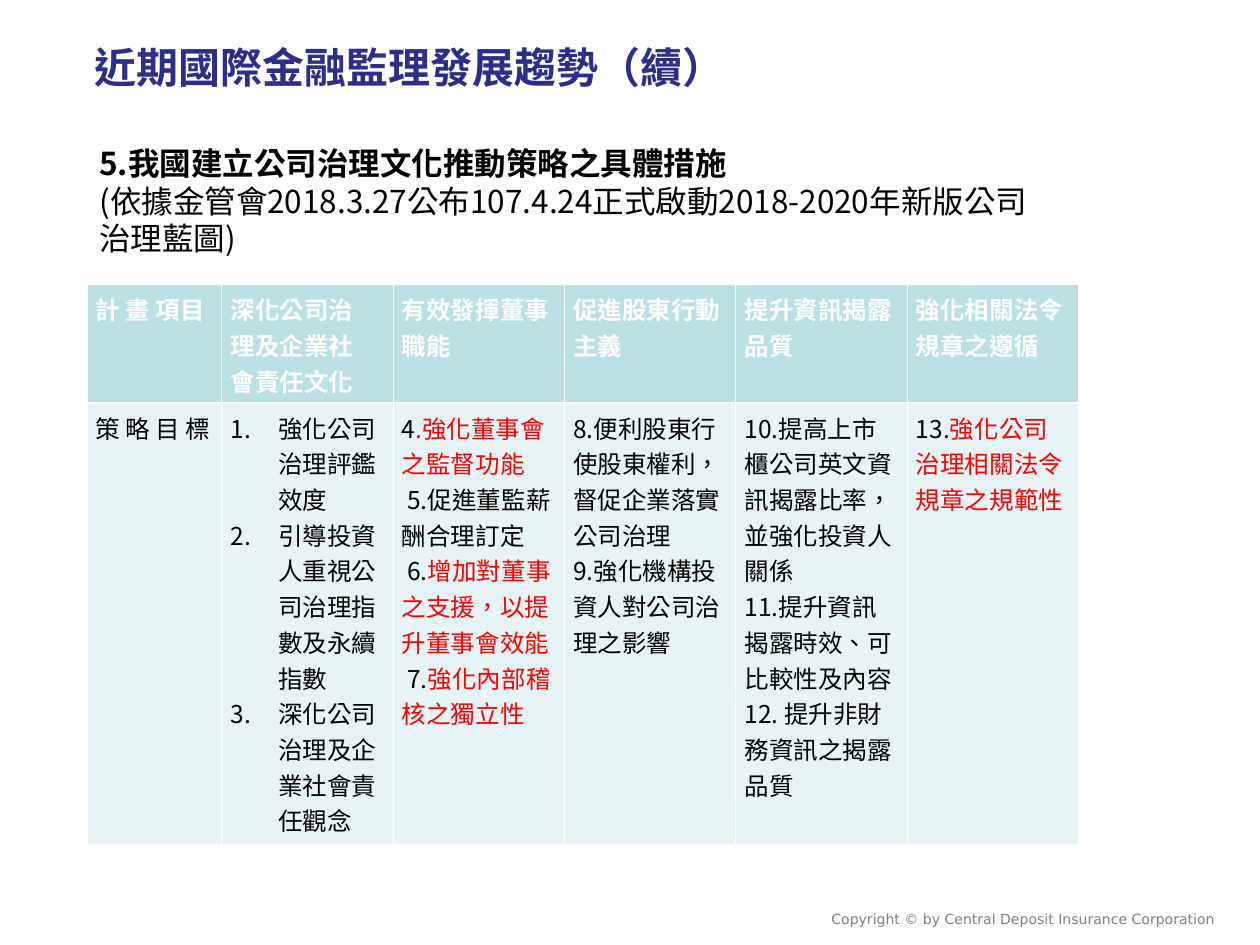
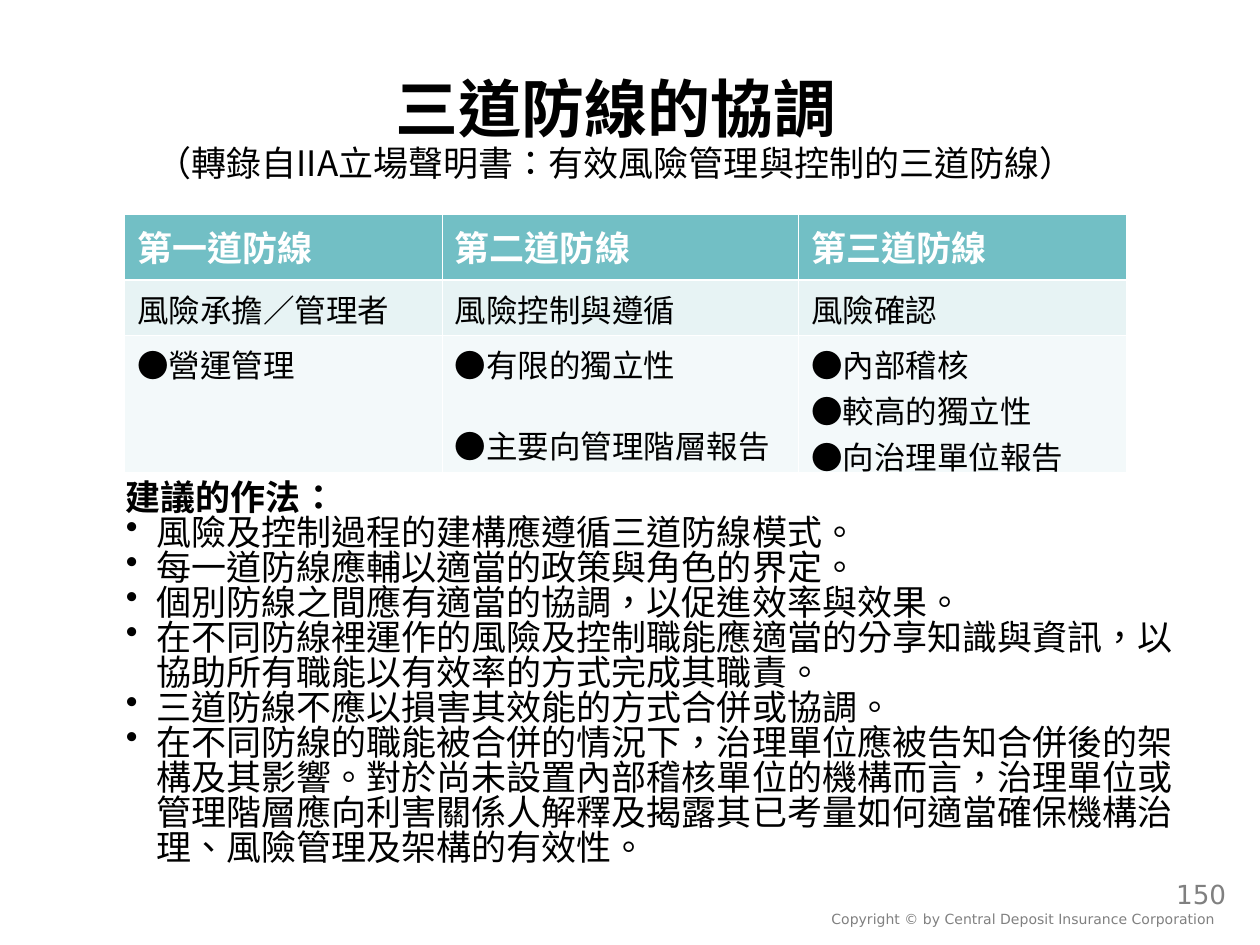
"""Builds two slides on corporate governance measures and the three lines of defence."""
from dataclasses import dataclass, replace
from typing import Optional

import lxml.etree
import pptx
import pptx.dml.color
import pptx.enum.text
import pptx.oxml.ns
import pptx.util

Inches, Pt = pptx.util.Inches, pptx.util.Pt
qn = pptx.oxml.ns.qn
ALIGN = pptx.enum.text.PP_ALIGN

CJK = "Noto Sans CJK SC"
WHITE, BLACK, GREY, RED, NAVY = "FFFFFF", "000000", "808080", "FF0000", "2D2D8A"
PALE_TEAL, TEAL, MIST, FROST = "BBE0E3", "72BFC5", "E7F3F4", "F3F9FA"
THIN, THICK = 0.45, 1.47


@dataclass(frozen=True)
class Style:
    """Character format of a paragraph."""
    size: float
    color: str = BLACK
    bold: bool = False
    font: str = CJK


@dataclass(frozen=True)
class Span:
    """A piece of text with its own colour."""
    text: str
    color: str


@dataclass(frozen=True)
class Para:
    """A paragraph: strings and spans, with its style and layout."""
    wording: tuple
    style: Style
    line: Optional[float] = None
    before: float = 0
    align: ALIGN = ALIGN.LEFT
    bullet: str = ""
    indent: float = 0


@dataclass(frozen=True)
class Box:
    """Place and size in inches."""
    left: float
    top: float
    width: float
    height: float

    def lengths(self) -> list:
        """Return the four values as lengths."""
        return [Inches(v) for v in (self.left, self.top, self.width, self.height)]


@dataclass(frozen=True)
class Row:
    """A table row: its height, fill and cells of paragraphs."""
    height: float
    fill: str
    cells: list


@dataclass(frozen=True)
class Grid:
    """A table: its place, columns, rows and cell margins."""
    left: float
    top: float
    columns: tuple
    rows: list
    side_margin: float
    bottom_margin: float


def rgb(value: str) -> pptx.dml.color.RGBColor:
    """Turn a hex string into a colour."""
    return pptx.dml.color.RGBColor.from_string(value)


def set_all(target, values: dict) -> None:
    """Set every attribute in values on target."""
    for name, value in values.items():
        setattr(target, name, value)


def add_run(paragraph, text: str, style: Style) -> None:
    """Add one formatted run."""
    run = paragraph.add_run()
    run.text = text
    set_all(run.font, {"size": Pt(style.size), "bold": style.bold, "name": style.font})
    run.font.color.rgb = rgb(style.color)
    properties = run._r.get_or_add_rPr()
    properties.set("lang", "zh-TW")
    lxml.etree.SubElement(properties, qn("a:ea")).set("typeface", CJK)


def add_bullet(paragraph, para: Para) -> None:
    """Give a paragraph its hanging bullet or number."""
    properties = paragraph._p.get_or_add_pPr()
    properties.set("marL", str(Inches(para.indent)))
    properties.set("indent", str(-Inches(para.indent)))
    if para.bullet == "1.":
        lxml.etree.SubElement(properties, qn("a:buAutoNum")).set("type", "arabicPeriod")
    else:
        lxml.etree.SubElement(properties, qn("a:buChar")).set("char", para.bullet)


def write(frame, paras: list) -> None:
    """Fill a text frame with paragraphs."""
    frame.word_wrap = True
    for index, para in enumerate(paras):
        paragraph = frame.add_paragraph() if index else frame.paragraphs[0]
        if para.bullet:
            add_bullet(paragraph, para)
        paragraph.alignment = para.align
        if para.line:
            paragraph.line_spacing = Pt(para.line)
        if para.before:
            paragraph.space_before = Pt(para.before)
        for piece in para.wording:
            span = piece if isinstance(piece, Span) else Span(piece, para.style.color)
            for number, line in enumerate(span.text.split("\n")):
                if number:
                    paragraph.add_line_break()
                add_run(paragraph, line, replace(para.style, color=span.color))


def add_text(slide, box: Box, *paras: Para) -> None:
    """Add a text box."""
    write(slide.shapes.add_textbox(*box.lengths()).text_frame, list(paras))


def add_borders(cell, widths: dict) -> None:
    """Draw white cell borders with the given widths in points."""
    properties = cell._tc.get_or_add_tcPr()
    for index, (side, width) in enumerate(widths.items()):
        border = lxml.etree.Element(qn(f"a:ln{side}"), w=str(Pt(width)))
        fill = lxml.etree.SubElement(border, qn("a:solidFill"))
        lxml.etree.SubElement(fill, qn("a:srgbClr")).set("val", WHITE)
        properties.insert(index, border)


def add_grid(slide, grid: Grid) -> None:
    """Add a table with filled and bordered cells."""
    box = Box(grid.left, grid.top, sum(grid.columns), sum(row.height for row in grid.rows))
    table = slide.shapes.add_table(len(grid.rows), len(grid.columns), *box.lengths()).table
    set_all(table, {"first_row": False, "horz_banding": False})
    for column, width in zip(table.columns, grid.columns):
        column.width = Inches(width)
    for r, row in enumerate(grid.rows):
        table.rows[r].height = Inches(row.height)
        for c, paras in enumerate(row.cells):
            cell = table.cell(r, c)
            set_all(cell, {
                "margin_left": Inches(grid.side_margin),
                "margin_right": Inches(grid.side_margin),
                "margin_top": Inches(0.05),
                "margin_bottom": Inches(grid.bottom_margin),
            })
            cell.fill.solid()
            cell.fill.fore_color.rgb = rgb(row.fill)
            add_borders(cell, {"L": THIN, "R": THIN, "T": THICK if r == 1 else THIN,
                               "B": THICK if r == 0 else THIN})
            write(cell.text_frame, paras)


def plain_cells(style: Style, *texts: str) -> list:
    """Make one single-paragraph cell from each text."""
    return [[Para((text,), style)] for text in texts]


def new_slide(deck):
    """Add a blank slide with the copyright footer."""
    slide = deck.slides.add_slide(deck.slide_layouts[6])
    add_text(slide, Box(6.5, 7.18, 3.59, 0.24),
             Para(("Copyright © by Central Deposit Insurance Corporation",),
                  Style(8, GREY, font="DejaVu Sans")))
    return slide


def build_governance(deck) -> None:
    """Build the slide on governance measures."""
    slide = new_slide(deck)
    add_text(slide, Box(0.65, 0.28, 8.63, 0.79),
             Para(("近期國際金融監理發展趨勢（續）",), Style(24, NAVY, True, "Calibri")))
    head, body = Style(14, WHITE, True), Style(14)
    goals = [
        [("策 略 目 標",)],
        [("強化公司治理評鑑效度",), ("引導投資人重視公司治理指數及永續指數",),
         ("深化公司治理及企業社會責任觀念",)],
        [("4", Span(".強化董事會之監督功能", RED)),
         (" 5.促進董監薪酬合理訂定",),
         (" 6.", Span("增加對董事之支援，以提升董事會效能", RED)),
         (" 7.", Span("強化內部稽核之獨立性", RED))],
        [("8.便利股東行使股東權利，督促企業落實公司治理",),
         ("9.強化機構投資人對公司治理之影響",)],
        [("10.提高上市櫃公司英文資訊揭露比率，並強化投資人關係",),
         ("11.提升資訊揭露時效、可比較性及內容 12. 提升非財務資訊之揭露品質",)],
        [("13.", Span("強化公司治理相關法令規章之規範性", RED))],
    ]
    goal_cells = [[Para(wording, body) for wording in cell] for cell in goals]
    goal_cells[1] = [replace(para, bullet="1.", indent=0.38) for para in goal_cells[1]]
    headings = plain_cells(head, "計 畫 項目", "深化公司治\n理及企業社\n會責任文化", "有效發揮董事 職能",
                           "促進股東行動主義", "提升資訊揭露 品質", "強化相關法令 規章之遵循")
    add_grid(slide, Grid(0.69, 2.26, (1.07,) + (1.36,) * 5,
                         [Row(0.94, PALE_TEAL, headings), Row(3.5, MIST, goal_cells)],
                         0.07, 0.05))
    add_text(slide, Box(0.69, 1.07, 7.62, 1),
             Para(("5.我國建立公司治理文化推動策略之具體措施",), Style(18, bold=True), 23.5),
             Para(("(依據金管會2018.3.27公布107.4.24正式啟動2018-2020年新版公司治理藍圖)",),
                  Style(18), 21.4))


def build_defence_lines(deck) -> None:
    """Build the slide on coordinating the three lines of defence."""
    slide = new_slide(deck)
    add_text(slide, Box(7.75, 6.92, 2.08, 0.5),
             Para(("150",), Style(15, GREY, font="DejaVu Sans"), align=ALIGN.RIGHT))
    add_text(slide, Box(0.83, 0.44, 8.11, 1.04),
             Para(("三道防線的協調",), Style(36, bold=True), 48, align=ALIGN.CENTER),
             Para(("（轉錄自IIA立場聲明書：有效風險管理與控制的三道防線）",), Style(20), 21.4,
                  align=ALIGN.CENTER))
    body = Style(18)
    duties = [
        [Para(("●營運管理",), body)],
        [Para(("●有限的獨立性",), body), Para(("●主要向管理階層報告",), body, before=20)],
        [Para((text,), body) for text in ("●內部稽核", "●較高的獨立性", "●向治理單位報告")],
    ]
    add_grid(slide, Grid(0.99, 1.7, (2.52, 2.83, 2.6), [
        Row(0.52, TEAL, plain_cells(Style(20, WHITE, True),
                                    "第一道防線", "第二道防線", "第三道防線")),
        Row(0.44, MIST, plain_cells(body, "風險承擔／管理者", "風險控制與遵循", "風險確認")),
        Row(1.09, FROST, duties),
    ], 0.1, 0))
    practices = (
        "風險及控制過程的建構應遵循三道防線模式。",
        "每一道防線應輔以適當的政策與角色的界定。",
        "個別防線之間應有適當的協調，以促進效率與效果。",
        "在不同防線裡運作的風險及控制職能應適當的分享知識與資訊，以協助所有職能以有效率的方式完成其職責。",
        "三道防線不應以損害其效能的方式合併或協調。",
        "在不同防線的職能被合併的情況下，治理單位應被告知合併後的架構及其影響。"
        "對於尚未設置內部稽核單位的機構而言，治理單位或管理階層應向利害關係人解釋及"
        "揭露其已考量如何適當確保機構治理、風險管理及架構的有效性。",
    )
    add_text(slide, Box(0.9, 3.7, 8.51, 3.21),
             Para(("建議的作法：",), Style(20, bold=True), 25.6),
             *(Para((text,), Style(20), 20, bullet="•", indent=0.24) for text in practices))


def main() -> None:
    """Build and save the deck."""
    deck = pptx.Presentation()
    set_all(deck, {"slide_width": Inches(10), "slide_height": Inches(7.5)})
    build_governance(deck)
    build_defence_lines(deck)
    deck.save("out.pptx")


if __name__ == "__main__":
    main()
